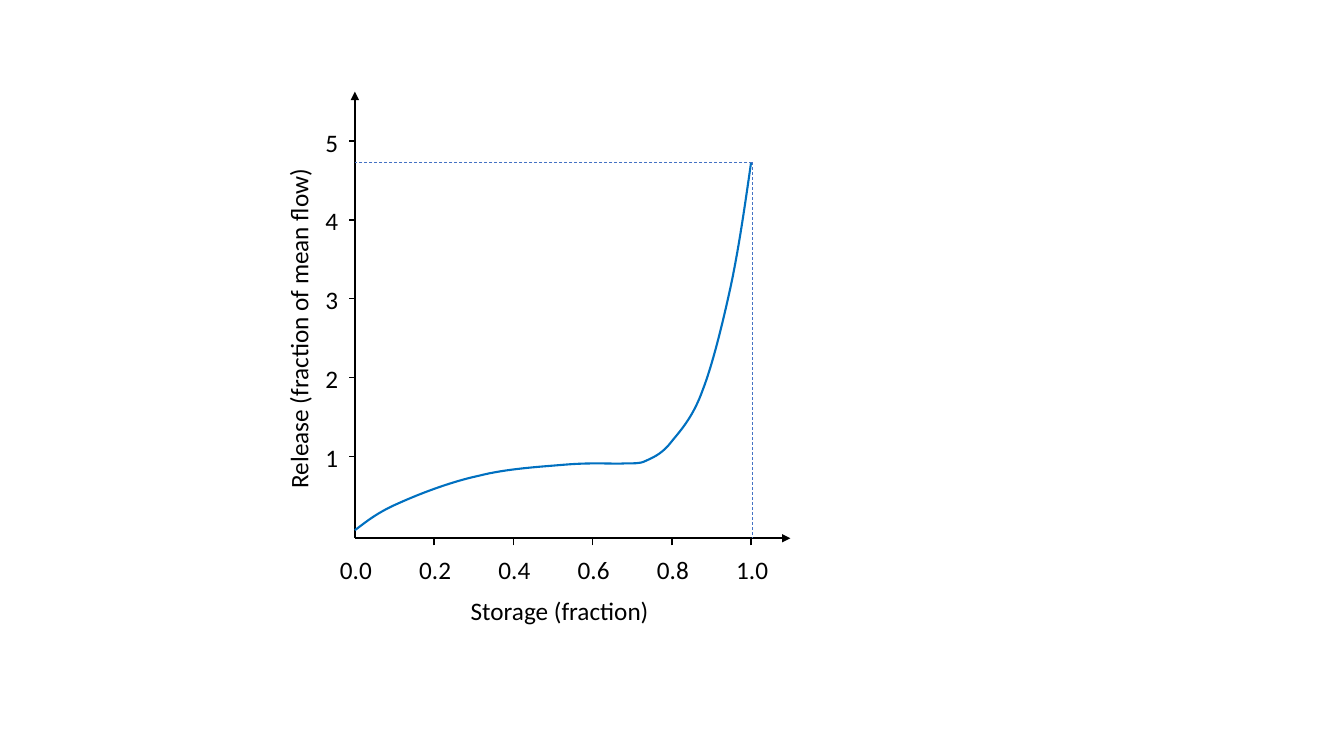
from pptx import Presentation
from pptx.dml.color import RGBColor
from pptx.enum.dml import MSO_LINE as Dash
from pptx.enum.shapes import MSO_CONNECTOR as Link
from pptx.enum.text import MSO_ANCHOR as Anchor, MSO_AUTO_SIZE as Fit, PP_ALIGN as Align
from pptx.oxml.ns import qn
from pptx.util import Inches, Pt
from lxml.etree import SubElement

BLACK = RGBColor(0, 0, 0)
BLUE = RGBColor(0x00, 0x70, 0xC0)
GUIDE = RGBColor(0x44, 0x72, 0xC4)

LEFT, BASE = 3.52, 5.34
RIGHT, TOP = 7.46, 1.61
STEP_X, STEP_Y = 0.786, 0.782
TICK_X, TICK_Y = 0.07, 0.06
CURVE = [
    (3.52, 5.26),
    (3.64, 5.17), (3.75, 5.08), (3.96, 4.99),
    (4.16, 4.9), (4.47, 4.78), (4.75, 4.72),
    (5.02, 4.65), (5.37, 4.63), (5.6, 4.61),
    (5.84, 4.59), (6.02, 4.6), (6.15, 4.6),
    (6.29, 4.59), (6.33, 4.61), (6.41, 4.57),
    (6.5, 4.53), (6.58, 4.49), (6.67, 4.37),
    (6.77, 4.25), (6.88, 4.12), (6.97, 3.87),
    (7.07, 3.61), (7.17, 3.2), (7.25, 2.83),
    (7.33, 2.45), (7.39, 2.03), (7.45, 1.61),
]


class Graph:
    """Draws lines, curves and labels on one slide in a shared style."""

    def __init__(self, slide, font="Calibri", size=18):
        self.shapes = slide.shapes
        self.font, self.size = font, size

    def line(self, x1, y1, x2, y2, color=BLACK, width=1, dash=None, arrow=False):
        link = self.shapes.add_connector(
            Link.STRAIGHT, Inches(x1), Inches(y1), Inches(x2), Inches(y2))
        link.line.color.rgb = color
        link.line.width = Pt(width)
        if dash:
            link.line.dash_style = dash
        if arrow:
            SubElement(link.line._get_or_add_ln(), qn("a:tailEnd"), type="triangle")
        SubElement(link._element.spPr, qn("a:effectLst"))

    def curve(self, knots, color, width):
        points = [(Inches(x), Inches(y)) for x, y in knots]
        pen = self.shapes.build_freeform(*points[0])
        pen.add_line_segments(points[1:], close=False)
        shape = pen.convert_to_shape()
        legs = list(shape._element.iter(qn("a:lnTo")))
        for i in range(0, len(legs), 3):
            arc = SubElement(legs[i].getparent(), qn("a:cubicBezTo"))
            for leg in legs[i:i + 3]:
                arc.append(leg[0])
                leg.getparent().remove(leg)
        shape.shadow.inherit = False
        shape.fill.background()
        shape.line.color.rgb = color
        shape.line.width = Pt(width)

    def label(self, text, x, y, width=0.79, turn=0):
        height = 0.4
        box = self.shapes.add_textbox(
            Inches(x - width / 2), Inches(y - height / 2), Inches(width), Inches(height))
        box.rotation = turn
        frame = box.text_frame
        frame.word_wrap = True
        frame.auto_size = Fit.SHAPE_TO_FIT_TEXT
        frame.vertical_anchor = Anchor.TOP
        para = frame.paragraphs[0]
        para.text = text
        para.alignment = Align.CENTER
        para.font.name = self.font
        para.font.size = Pt(self.size)
        para.font.color.rgb = BLACK


deck = Presentation()
deck.slide_width, deck.slide_height = Inches(13.33), Inches(7.5)
graph = Graph(deck.slides.add_slide(deck.slide_layouts[6]))

graph.line(LEFT, BASE, LEFT, 0.91, width=1.25, arrow=True)
graph.line(LEFT, BASE, 7.84, BASE, width=1.25, arrow=True)
graph.curve(CURVE, BLUE, 1.5)
for end in ((LEFT, TOP), (RIGHT, BASE)):
    graph.line(RIGHT, TOP, *end, color=GUIDE, width=0.5, dash=Dash.DASH)

for n in range(1, 6):
    y = 1.4 + (5 - n) * STEP_Y
    graph.label(str(n), 3.29, y + 0.01)
    graph.line(LEFT, y, LEFT - TICK_Y, y)

for n in range(6):
    x = LEFT + n * STEP_X
    graph.label(f"{n / 5:.1f}", x + 0.01, 5.65)
    if n:
        graph.line(x, BASE + TICK_X, x, BASE)

graph.label("Storage (fraction)", 5.55, 6.06, width=2.07)
graph.label("Release (fraction of mean flow)", 2.96, 3.26, width=3.87, turn=270)

deck.save("out.pptx")
